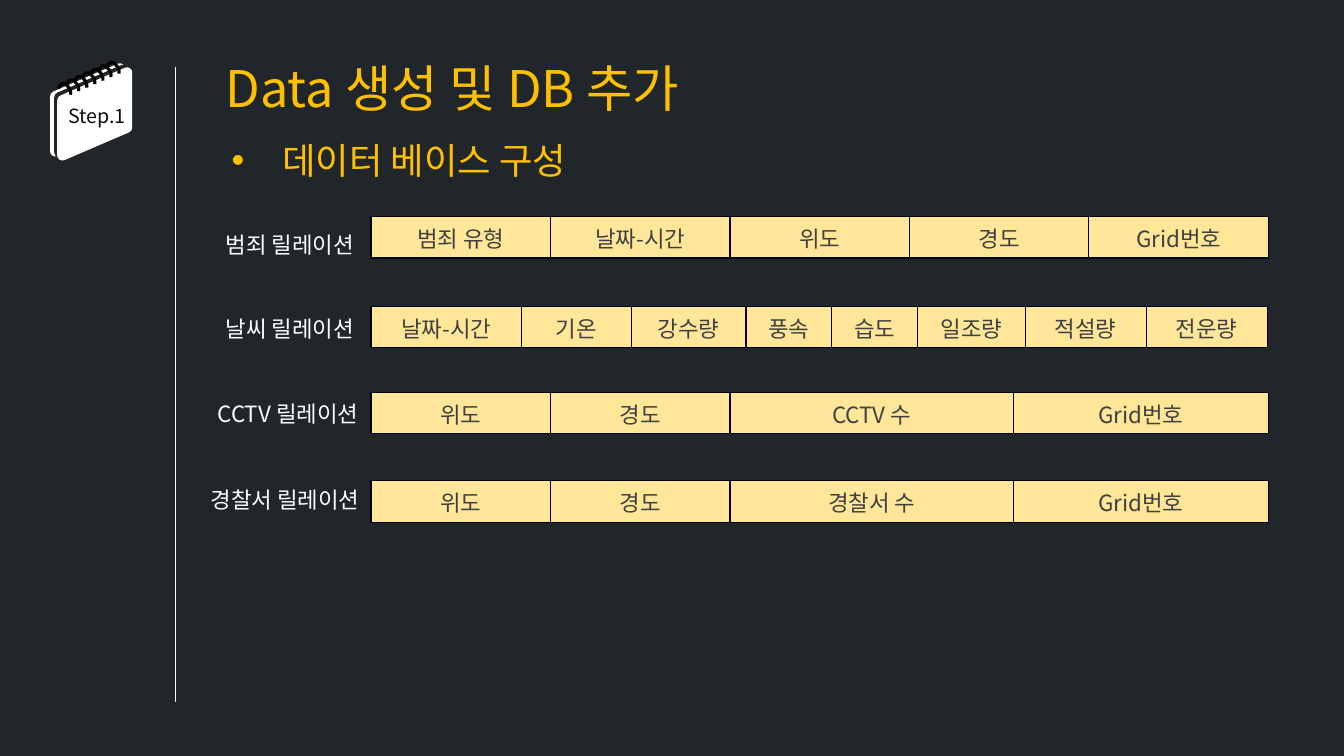
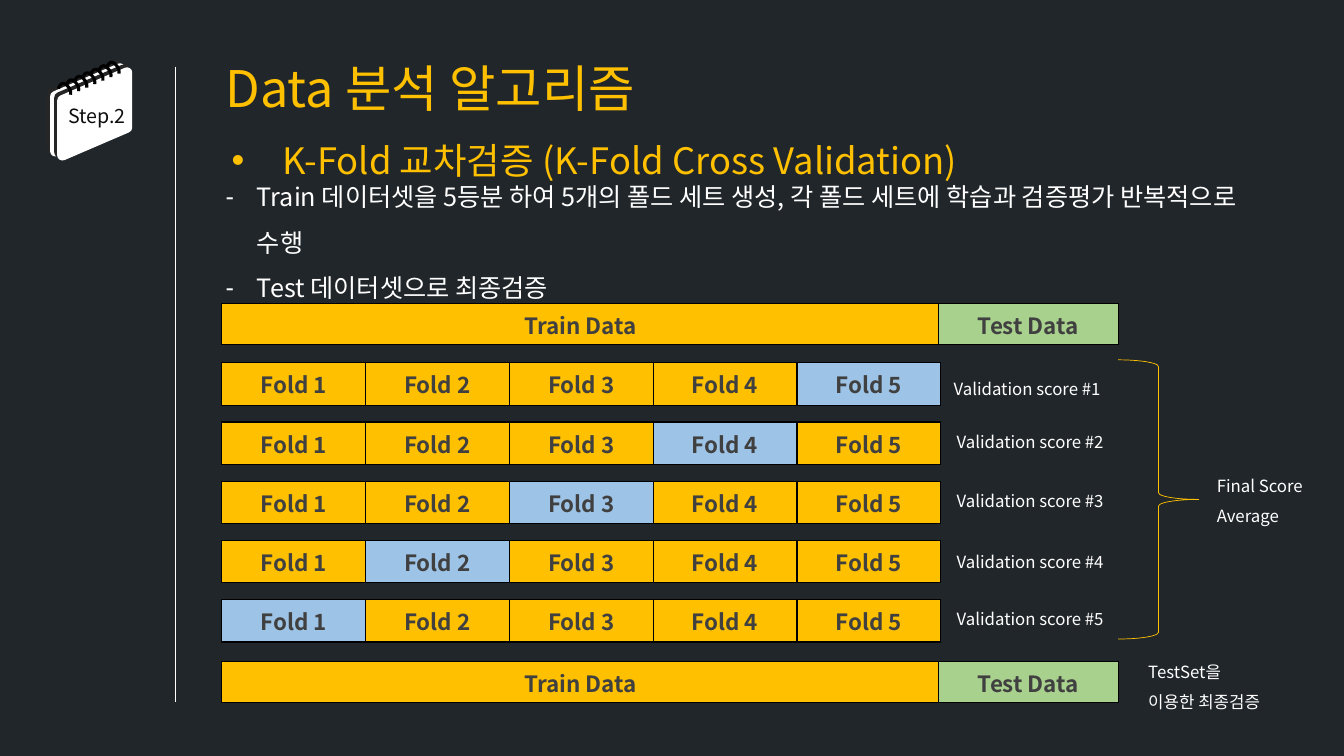
"""Build the database layout and K-Fold validation slides."""
from lxml.etree import SubElement
from pptx import Presentation
from pptx.dml.color import RGBColor
from pptx.enum.shapes import MSO_CONNECTOR, MSO_SHAPE as SHAPE
from pptx.enum.text import MSO_ANCHOR as ANCHOR, MSO_AUTO_SIZE as AUTO, PP_ALIGN as ALIGN
from pptx.oxml.ns import qn
from pptx.util import Inches, Pt

NIGHT = RGBColor(0x21, 0x26, 0x2A)
WHITE = RGBColor(0xFF, 0xFF, 0xFF)
BLACK = RGBColor(0x00, 0x00, 0x00)
INK = RGBColor(0x0D, 0x0D, 0x0D)
SHADE = RGBColor(0x26, 0x26, 0x26)
CELL_TEXT = RGBColor(0x40, 0x40, 0x40)
GOLD = RGBColor(0xFF, 0xC0, 0x00)
CREAM = RGBColor(0xFF, 0xE6, 0x99)
BLUE = RGBColor(0x9D, 0xC3, 0xE6)
GREEN = RGBColor(0xA9, 0xD1, 0x8E)

KR = "Noto Sans CJK KR"
SC = "Noto Sans CJK SC"
RING_START = (1.06, 0.67)
RING_CURVES = (
    ((0, 0), (0.01, -0.04), (0.04, -0.06), (0.06, -0.05)),
    ((0.06, -0.05), (0.08, -0.04), (0.13, 0), (0.12, 0.06)),
)


def curve_points(curve, steps=8):
    """Return points along a cubic curve, without its start."""
    points = []
    for step in range(1, steps + 1):
        t = step / steps
        weights = ((1 - t) ** 3, 3 * t * (1 - t) ** 2, 3 * t * t * (1 - t), t ** 3)
        points.append(tuple(sum(w * p[axis] for w, p in zip(weights, curve)) for axis in (0, 1)))
    return points


def write_text(frame, text, size=16, color=WHITE, font=KR, bold=False,
               align=ALIGN.LEFT, spacing=None, bullet=None, indent=0):
    """Fill a text frame, one paragraph per line of text."""
    for index, line in enumerate(text.split("\n")):
        paragraph = frame.add_paragraph() if index else frame.paragraphs[0]
        paragraph.alignment = align
        if spacing:
            paragraph.line_spacing = spacing
        if bullet:
            properties = paragraph._p.get_or_add_pPr()
            properties.set("marL", str(Inches(indent)))
            properties.set("indent", str(-Inches(indent)))
            SubElement(properties, qn("a:buFont"), typeface="Arial")
            SubElement(properties, qn("a:buChar"), char=bullet)
        run = paragraph.add_run()
        run.text = line
        run.font.size = Pt(size)
        run.font.bold = bold
        run.font.color.rgb = color
        run.font.name = font
        SubElement(run._r.get_or_add_rPr(), qn("a:ea"), typeface=font)


class Deck:
    """Hold the shared style and the current slide."""

    def __init__(self):
        """Start a widescreen deck with a dark background."""
        self.prs = Presentation()
        self.prs.slide_width, self.prs.slide_height = Inches(13.33), Inches(7.5)
        background = self.prs.slide_master.background.fill
        background.solid()
        background.fore_color.rgb = NIGHT
        self.shapes = None

    def add_slide(self, step, title, subtitle):
        """Add a slide with its divider, notepad and headings."""
        self.shapes = self.prs.slides.add_slide(self.prs.slide_layouts[6]).shapes
        self.divider()
        self.notepad()
        self.text(0.57, 0.98, 0.78, 0.34, step, grow=True, wrap=False,
                  size=14, color=INK, font=SC, align=ALIGN.CENTER)
        self.text(2.14, 0.52, 5.81, 0.71, title, grow=True, size=36, color=GOLD)
        self.text(2.2, 1.32, 10.3, 0.54, subtitle, grow=True, size=26, color=GOLD,
                  bullet="•", indent=0.5)

    def divider(self):
        """Draw the vertical rule beside the content."""
        rule = self.shapes.add_connector(
            MSO_CONNECTOR.STRAIGHT, Inches(1.74), Inches(0.66), Inches(1.74), Inches(6.96))
        rule.line.color.rgb = WHITE
        rule.line.width = Pt(0.5)
        SubElement(rule._element.spPr, qn("a:effectLst"))

    def outline(self, shape, color, width):
        """Give a shape a plain outline and no inherited shadow."""
        shape.shadow.inherit = False
        shape.line.color.rgb = color
        shape.line.width = Pt(width)

    def notepad(self):
        """Draw two sheets and their row of rings."""
        pad = self.shapes.add_group_shape().shapes
        for left, top in ((0.46, 0.77), (0.53, 0.81)):
            self.sheet(pad, left, top)
        for index in range(7):
            x, y = RING_START[0] - 0.08 * index, RING_START[1] + 0.035 * index
            points = [(Inches(x + dx), Inches(y + dy))
                      for curve in RING_CURVES for dx, dy in curve_points(curve)]
            builder = pad.build_freeform(Inches(x), Inches(y))
            builder.add_line_segments(points, close=False)
            ring = builder.convert_to_shape()
            ring.fill.background()
            self.outline(ring, BLACK, 2.25)

    def sheet(self, pad, left, top):
        """Add one slanted sheet with rounded corners and a hard shadow."""
        sheet = pad.add_shape(SHAPE.PARALLELOGRAM, Inches(left), Inches(top),
                              Inches(0.82), Inches(0.64))
        sheet.adjustments[0] = 0.43
        sheet.rotation = 90
        sheet.fill.solid()
        sheet.fill.fore_color.rgb = WHITE
        self.outline(sheet, WHITE, 7.5)
        properties = sheet._element.spPr
        properties.find(qn("a:xfrm")).set("flipH", "1")
        SubElement(properties.find(qn("a:ln")), qn("a:round"))
        shadow = SubElement(properties.find(qn("a:effectLst")), qn("a:outerShdw"), blurRad="0",
                            dist=str(Pt(3)), dir=str(225 * 60000), rotWithShape="0")
        SubElement(shadow, qn("a:srgbClr"), val=str(SHADE))

    def text(self, left, top, width, height, text, grow=False, wrap=True,
             anchor=ANCHOR.TOP, **style):
        """Add a text box."""
        frame = self.shapes.add_textbox(
            Inches(left), Inches(top), Inches(width), Inches(height)).text_frame
        frame.word_wrap = wrap
        frame.auto_size = AUTO.SHAPE_TO_FIT_TEXT if grow else AUTO.NONE
        frame.vertical_anchor = anchor
        write_text(frame, text, **style)

    def label(self, left, top, width, height, text, **style):
        """Add a vertically centred label with open line spacing."""
        self.text(left, top, width, height, text, anchor=ANCHOR.MIDDLE, spacing=1.5, **style)

    def strip(self, left, top, height, widths, texts, fills, bold=False):
        """Add a one-row table with black borders."""
        table = self.shapes.add_table(1, len(widths), Inches(left), Inches(top),
                                      Inches(sum(widths)), Inches(height)).table
        table.first_row = table.horz_banding = False
        table.rows[0].height = Inches(height)
        for column, cell, width, text, color in zip(
                table.columns, table.rows[0].cells, widths, texts, fills):
            column.width = Inches(width)
            write_text(cell.text_frame, text, color=CELL_TEXT, bold=bold, align=ALIGN.CENTER)
            cell.vertical_anchor = ANCHOR.MIDDLE
            for side in ("a:lnL", "a:lnR", "a:lnT", "a:lnB"):
                border = SubElement(cell._tc.get_or_add_tcPr(), qn(side), w=str(Pt(1)))
                SubElement(SubElement(border, qn("a:solidFill")), qn("a:srgbClr"), val=str(BLACK))
            cell.fill.solid()
            cell.fill.fore_color.rgb = color

    def brace(self, left, top, width, height):
        """Add a gold right brace."""
        brace = self.shapes.add_shape(SHAPE.RIGHT_BRACE, Inches(left), Inches(top),
                                      Inches(width), Inches(height))
        brace.fill.background()
        self.outline(brace, GOLD, 0.5)


def database_slide(deck):
    """Show the columns of each relation."""
    deck.add_slide("Step.1", "Data 생성 및 DB 추가", "데이터 베이스 구성")
    place_widths = (1.78, 1.78, 2.81, 2.53)
    relations = (
        ("범죄 릴레이션", 2.14, 2.15, 2.15, (1.78,) * 5,
         ("범죄 유형", "날짜-시간", "위도", "경도", "Grid번호")),
        ("날씨 릴레이션", 2.14, 2.99, 3.04, (1.49, 1.09, 1.14, 0.85, 0.85, 1.07, 1.2, 1.2),
         ("날짜-시간", "기온", "강수량", "풍속", "습도", "일조량", "적설량", "전운량")),
        ("CCTV 릴레이션", 2.06, 3.83, 3.89, place_widths,
         ("위도", "경도", "CCTV 수", "Grid번호")),
        ("경찰서 릴레이션", 1.99, 4.68, 4.77, place_widths,
         ("위도", "경도", "경찰서 수", "Grid번호")),
    )
    table_left = 3.68
    for name, left, label_top, table_top, widths, fields in relations:
        deck.label(left, label_top, table_left - left, 0.41, name)
        deck.strip(table_left, table_top, 0.41, widths, fields, [CREAM] * len(fields))


def validation_slide(deck):
    """Show the five folds and their scores."""
    deck.add_slide("Step.2", "Data 분석 알고리즘", "K-Fold 교차검증 (K-Fold Cross Validation)")
    deck.label(2.14, 1.83, 10.62, 0.99,
               "Train 데이터셋을 5등분 하여 5개의 폴드 세트 생성, 각 폴드 세트에 학습과 검증평가 반복적으로 수행\n"
               "Test 데이터셋으로 최종검증", size=18, bullet="-", indent=0.31)
    for top in (3.01, 6.56):
        deck.strip(2.2, top, 0.41, (7.11, 1.78), ("Train Data", "Test Data"),
                   (GOLD, GREEN), bold=True)
    folds = [f"Fold {number}" for number in range(1, 6)]
    score_spots = ((9.36, 3.54), (9.39, 4.06), (9.39, 4.65), (9.39, 5.25), (9.39, 5.82))
    for index, (left, top) in enumerate(score_spots):
        fills = [GOLD] * 5
        fills[4 - index] = BLUE
        deck.strip(2.2, 3.6 + 0.5875 * index, 0.42, (1.426,) * 5, folds, fills, bold=True)
        deck.label(left, top, 1.74, 0.54, f"Validation score #{index + 1}", size=12)
    deck.brace(11.09, 3.57, 0.8, 2.77)
    deck.label(11.97, 4.65, 1.1, 0.54, "Final Score\nAverage", size=12)
    deck.label(11.29, 6.49, 1.36, 0.54, "TestSet을\n이용한 최종검증", size=12)


def main():
    """Build and save the deck."""
    deck = Deck()
    database_slide(deck)
    validation_slide(deck)
    deck.prs.save("out.pptx")


if __name__ == "__main__":
    main()
